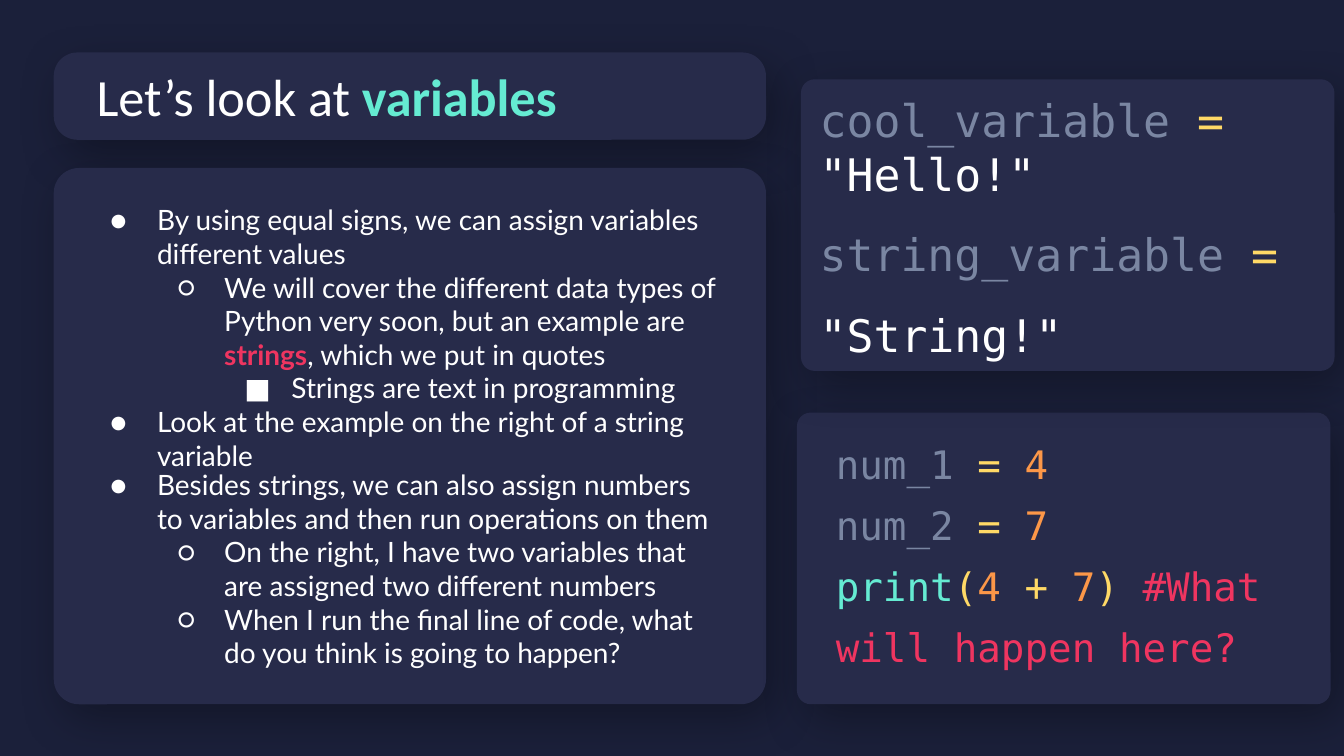
import dataclasses

import pptx
import pptx.dml.color
import pptx.enum.shapes
import pptx.enum.text
import pptx.oxml
import pptx.oxml.ns
import pptx.util

UNIT = 0.1  # inches per grid column and row; the slide is 100 x 56.25


@dataclasses.dataclass(frozen=True)
class Theme:
    background: str = "1B203A"
    panel: str = "272B4A"
    text: str = "FFFFFF"
    name: str = "7A86A2"
    operator: str = "FFD966"
    number: str = "FC9748"
    function: str = "65EBD2"
    alert: str = "EF3560"
    title_font: str = "Calibri"
    body_font: str = "Lato"
    code_font: str = "DejaVu Sans Mono"
    title_size: int = 28
    body_size: int = 15
    number_code_size: int = 21
    string_code_size: int = 24


@dataclasses.dataclass(frozen=True)
class Box:
    left: float
    top: float
    width: float
    height: float

    def inner(self, dx, dy, width, height):
        return Box(self.left + dx, self.top + dy, width, height)

    def emu(self):
        return [pptx.util.Inches(v * UNIT)
                for v in (self.left, self.top, self.width, self.height)]


THEME = Theme()
BULLETS = "●○■"
TITLE = [("Let’s look at ", THEME.text), ("variables", THEME.function, True)]
ASSIGNMENT_POINTS = [
    (0, [("By using equal signs, we can assign variables different values", THEME.text)]),
    (1, [("We will cover the different data types of Python very soon, "
          "but an example are ", THEME.text),
         ("strings", THEME.alert, True),
         (", which we put in quotes", THEME.text)]),
    (2, [("Strings are text in programming", THEME.text)]),
    (0, [("Look at the example on the right of a string variable", THEME.text)]),
]
NUMBER_POINTS = [
    (0, [("Besides strings, we can also assign numbers to variables "
          "and then run operations on them", THEME.text)]),
    (1, [("On the right, I have two variables that are assigned "
          "two different numbers", THEME.text)]),
    (1, [("When I run the final line of code, what do you think "
          "is going to happen?", THEME.text)]),
]


def rgb(colour):
    return pptx.dml.color.RGBColor.from_string(colour)


def add_panel(s, box, corner):
    sp = s.shapes.add_shape(
        pptx.enum.shapes.MSO_SHAPE.ROUNDED_RECTANGLE, *box.emu())
    sp.adjustments[0] = corner
    sp.fill.solid()
    sp.fill.fore_color.rgb = rgb(THEME.panel)
    sp.line.fill.background()
    sp._element.spPr.append(pptx.oxml.parse_xml(
        f'<a:effectLst {pptx.oxml.ns.nsdecls("a")}>'
        f'<a:outerShdw blurRad="{pptx.util.Pt(24.8)}" dist="{pptx.util.Pt(9)}" '
        f'dir="{57 * 60000}" algn="bl" rotWithShape="0">'
        '<a:srgbClr val="000000"><a:alpha val="30000"/></a:srgbClr>'
        '</a:outerShdw></a:effectLst>'))


def add_text_frame(s, box, anchor=pptx.enum.text.MSO_ANCHOR.TOP):
    tf = s.shapes.add_textbox(*box.emu()).text_frame
    tf.word_wrap = True
    tf.vertical_anchor = anchor
    tf.margin_left = tf.margin_right = pptx.util.Inches(0.1)
    tf.margin_top = tf.margin_bottom = pptx.util.Inches(0.1)
    return tf


def add_paragraph(tf, index, runs, font, size):
    """Fill the first paragraph or append one; a run is (text, colour[, bold])."""
    p = tf.paragraphs[0] if index == 0 else tf.add_paragraph()
    for text, colour, *bold in runs:
        r = p.add_run()
        r.text = text
        r.font.name = font
        r.font.size = pptx.util.Pt(size)
        r.font.color.rgb = rgb(colour)
        r.font.bold = bool(bold)
    return p


def set_bullet(p, level):
    p.level = level
    pPr = p._p.get_or_add_pPr()
    pPr.set("marL", str(pptx.util.Inches(0.5 * (level + 1))))
    pPr.set("indent", str(pptx.util.Inches(-0.35)))
    ns = pptx.oxml.ns.nsdecls("a")
    for xml in (f'<a:buClr {ns}><a:srgbClr val="{THEME.text}"/></a:buClr>',
                f'<a:buSzPts {ns} val="{THEME.body_size * 100}"/>',
                f'<a:buFont {ns} typeface="{THEME.body_font}"/>',
                f'<a:buChar {ns} char="{BULLETS[level]}"/>'):
        pPr.append(pptx.oxml.parse_xml(xml))


def add_bullets(s, box, points):
    tf = add_text_frame(s, box)
    for i, (level, runs) in enumerate(points):
        p = add_paragraph(tf, i, runs, THEME.body_font, THEME.body_size)
        set_bullet(p, level)


def assignment(name, value, colour):
    return [(f"{name} ", THEME.name), ("= ", THEME.operator), (value, colour)]


def add_title(s, box):
    add_panel(s, box, 0.271)
    tf = add_text_frame(s, box.inner(2.2, 0.1, 48.5, 6.2),
                        pptx.enum.text.MSO_ANCHOR.MIDDLE)
    add_paragraph(tf, 0, TITLE, THEME.title_font, THEME.title_size)


def add_explanation(s, box):
    add_panel(s, box, 0.047)
    add_bullets(s, box.inner(1.7, 1.6, 50.2, 19.7), ASSIGNMENT_POINTS)
    add_bullets(s, box.inner(1.7, 21.3, 49.1, 17.2), NUMBER_POINTS)


def add_code(s, box, text_box, lines, size):
    """Panel with code; each line is (line spacing, runs)."""
    add_panel(s, box, 0.047)
    tf = add_text_frame(s, text_box)
    for i, (spacing, runs) in enumerate(lines):
        p = add_paragraph(tf, i, runs, THEME.code_font, size)
        p.line_spacing = spacing


def add_string_code(s, box):
    lines = [(1.0, assignment("cool_variable", '"Hello!"', THEME.text)),
             (1.5, assignment("string_variable", '"String!"', THEME.text))]
    add_code(s, box, box.inner(0.4, 0, 38.9, 20.2), lines, THEME.string_code_size)


def add_number_code(s, box):
    call = [("print", THEME.function), ("(", THEME.operator),
            ("4 ", THEME.number), ("+ ", THEME.operator),
            ("7", THEME.number), (") ", THEME.operator),
            ("#What will happen here?", THEME.alert)]
    lines = [(1.3, assignment("num_1", "4", THEME.number)),
             (1.3, assignment("num_2", "7", THEME.number)),
             (1.3, call)]
    add_code(s, box, box.inner(1.9, 0, 37.1, 23.9), lines, THEME.number_code_size)


def main():
    prs = pptx.Presentation()
    prs.slide_width = pptx.util.Inches(100 * UNIT)
    prs.slide_height = pptx.util.Inches(56.25 * UNIT)
    s = prs.slides.add_slide(prs.slide_layouts[6])
    s.background.fill.solid()
    s.background.fill.fore_color.rgb = rgb(THEME.background)

    add_title(s, Box(4, 3.9, 53, 6.5))
    add_explanation(s, Box(4, 12.5, 53, 39.9))
    add_number_code(s, Box(59.3, 30.7, 39.7, 21.7))
    add_string_code(s, Box(59.6, 5.9, 39.7, 21.7))
    prs.save("out.pptx")


if __name__ == "__main__":
    main()
